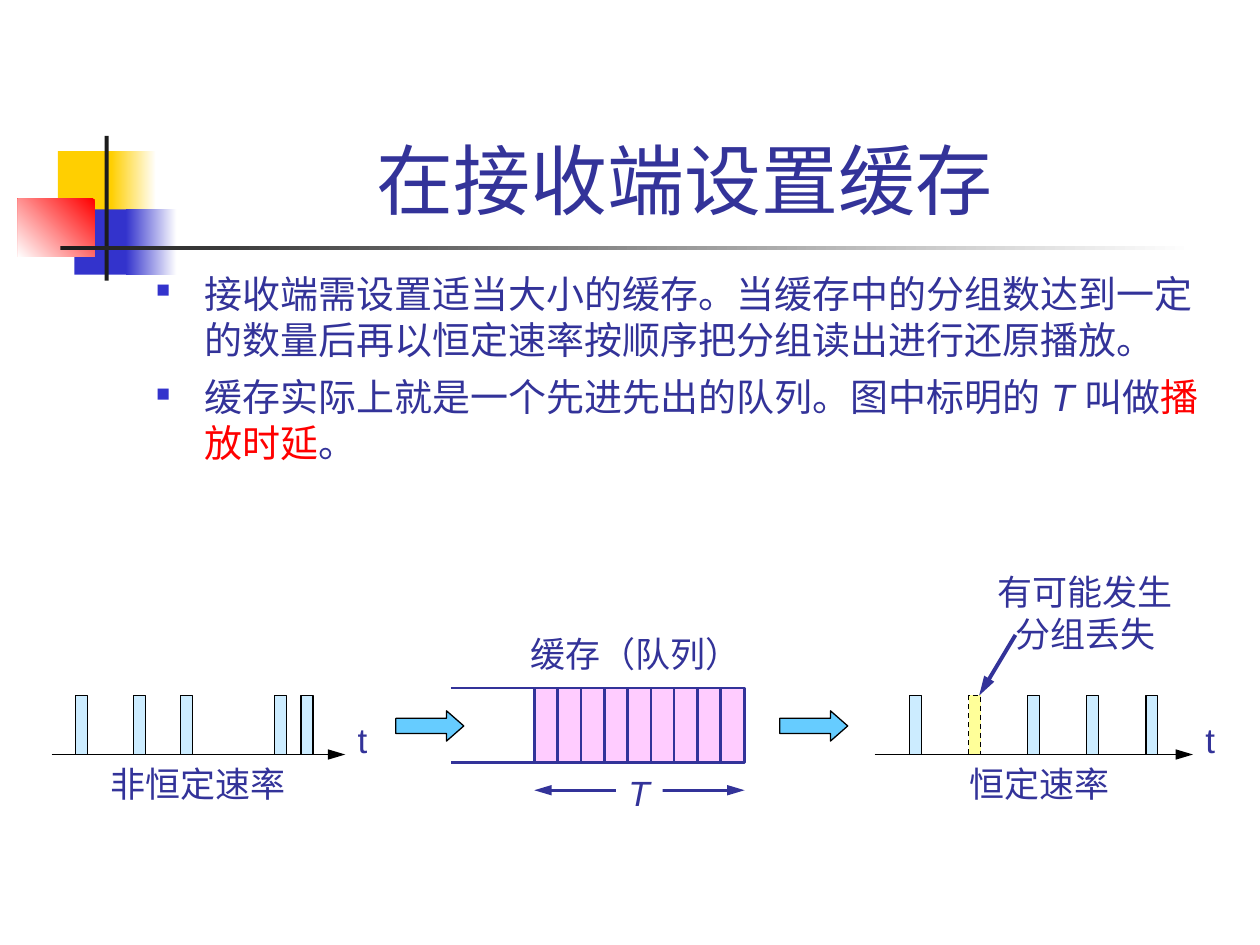
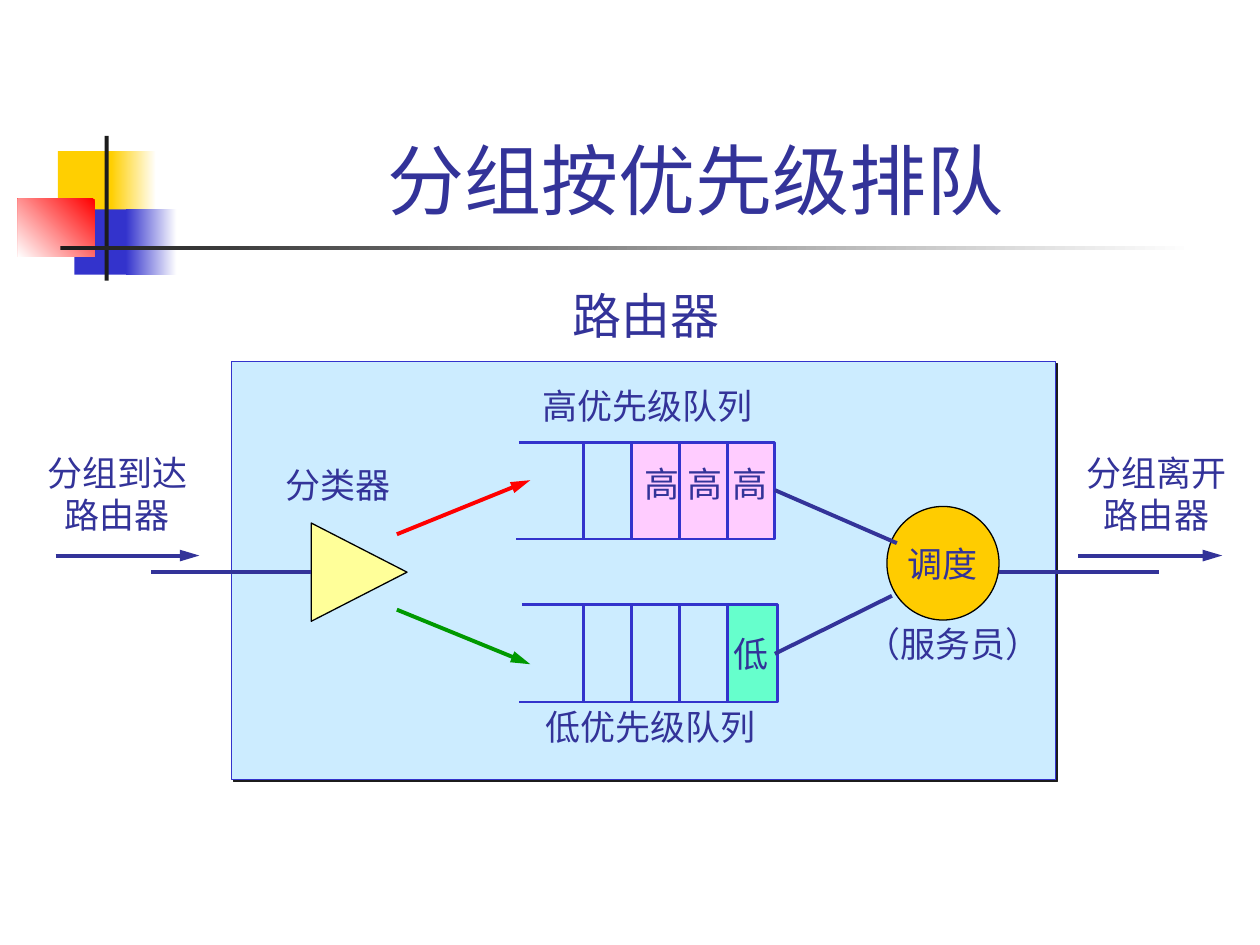
from lxml import etree
from pptx import Presentation
from pptx.dml.color import RGBColor
from pptx.enum.dml import MSO_LINE
from pptx.enum.shapes import MSO_CONNECTOR, MSO_SHAPE
from pptx.enum.text import MSO_ANCHOR, MSO_AUTO_SIZE, PP_ALIGN
from pptx.oxml.ns import qn
from pptx.util import Cm, Pt

# Enum members
RECT, OVAL = MSO_SHAPE.RECTANGLE, MSO_SHAPE.OVAL
TRIANGLE, RIGHT_ARROW = MSO_SHAPE.ISOSCELES_TRIANGLE, MSO_SHAPE.RIGHT_ARROW
STRAIGHT, DASH = MSO_CONNECTOR.STRAIGHT, MSO_LINE.DASH
LEFT, CENTER = PP_ALIGN.LEFT, PP_ALIGN.CENTER
TOP, MIDDLE, BOTTOM = MSO_ANCHOR.TOP, MSO_ANCHOR.MIDDLE, MSO_ANCHOR.BOTTOM
FIT, FIXED = MSO_AUTO_SIZE.SHAPE_TO_FIT_TEXT, MSO_AUTO_SIZE.NONE

# Colours
INK = RGBColor(0x33, 0x33, 0x99)
BLUE = RGBColor(0x33, 0x33, 0xCC)
GOLD = RGBColor(0xFF, 0xCF, 0x01)
AMBER = RGBColor(0xFF, 0xCC, 0x00)
RED = RGBColor(0xFF, 0x00, 0x00)
GREEN = RGBColor(0x00, 0x99, 0x00)
MINT = RGBColor(0x66, 0xFF, 0xCC)
PINK = RGBColor(0xFF, 0xCC, 0xFF)
PALE_BLUE = RGBColor(0xCC, 0xEC, 0xFF)
SKY = RGBColor(0x66, 0xCC, 0xFF)
PALE_YELLOW = RGBColor(0xFF, 0xFF, 0x99)
CHARCOAL = RGBColor(0x1C, 0x1C, 0x1C)
BLACK = RGBColor(0x00, 0x00, 0x00)
WHITE = RGBColor(0xFF, 0xFF, 0xFF)

# Line widths in points
THIN, MEDIUM, THICK = 0.74, 1.5, 2.24
FONT = "Arial"


def add_xml(parent, tag, **attributes):
    return etree.SubElement(parent, qn(tag), attributes)


def write(frame, *paragraphs, size=20, color=INK, italic=False, align=LEFT,
          anchor=TOP, wrap=False, fit=FIXED):
    """Fill a frame; a paragraph is a string or a list of (text, changes)."""
    frame.word_wrap = wrap
    frame.auto_size = fit
    frame.vertical_anchor = anchor
    for index, spans in enumerate(paragraphs):
        para = frame.paragraphs[0] if index == 0 else frame.add_paragraph()
        para.alignment = align
        if isinstance(spans, str):
            spans = [(spans, {})]
        for text, changes in spans:
            span = para.add_run()
            span.text = text
            font = span.font
            font.name = FONT
            font.size = Pt(changes.get("size", size))
            font.italic = changes.get("italic", italic)
            font.color.rgb = changes.get("color", color)
            add_xml(font._element, "a:ea", typeface=FONT)


class Deck:
    """The presentation, its style and the page being drawn; lengths in cm."""

    def __init__(self):
        self.deck = Presentation()
        self.deck.slide_width, self.deck.slide_height = Cm(25.4), Cm(19.05)

    def new_page(self, title):
        self.page = self.deck.slides.add_slide(self.deck.slide_layouts[6])
        # Coloured squares and crossing bars
        self.shape(1.17, 3.05, 1.22, 1.32, GOLD)
        self.fade(2.24, 3.05, 0.91, 1.32, GOLD)
        self.shape(1.5, 4.22, 1.17, 1.32, BLUE)
        self.fade(2.54, 4.22, 1.02, 1.32, BLUE)
        self.fade(0.36, 4.01, 1.55, 1.17, RED, angle=225)
        self.shape(2.11, 2.74, 0.08, 2.92, CHARCOAL)
        self.fade(1.22, 4.95, 22.86, 0.09, CHARCOAL)
        self.text(3.2, 0.6, 21.64, 4.06, title, size=44, align=CENTER,
                  anchor=BOTTOM, wrap=True)

    def paint(self, shape, fill, line, width, dash=None):
        shape.shadow.inherit = False
        if fill is None:
            shape.fill.background()
        else:
            shape.fill.solid()
            shape.fill.fore_color.rgb = fill
        if line is None:
            shape.line.fill.background()
        else:
            shape.line.color.rgb = line
            shape.line.width = Pt(width)
            if dash:
                shape.line.dash_style = dash
        return shape

    def shape(self, left, top, width, height, fill, line=None, kind=RECT):
        shape = self.page.shapes.add_shape(
            kind, Cm(left), Cm(top), Cm(width), Cm(height))
        return self.paint(shape, fill, line, THIN)

    def fade(self, left, top, width, height, color, angle=0):
        shape = self.shape(left, top, width, height, color)
        shape.fill.gradient()
        shape.fill.gradient_angle = angle
        for stop, shade in zip(shape.fill.gradient_stops, (color, WHITE)):
            stop.color.rgb = shade

    def outline(self, points, fill=None, line=INK, width=MEDIUM, dash=None):
        """An open outline through the points."""
        places = [(Cm(x), Cm(y)) for x, y in points]
        builder = self.page.shapes.build_freeform(*places[0], scale=1.0)
        builder.add_line_segments(places[1:], close=False)
        self.paint(builder.convert_to_shape(), fill, line, width, dash)

    def line(self, x1, y1, x2, y2, color=INK, width=THICK, ends=()):
        line = self.page.shapes.add_connector(
            STRAIGHT, Cm(x1), Cm(y1), Cm(x2), Cm(y2))
        line.line.color.rgb = color
        line.line.width = Pt(width)
        for end in ends:
            add_xml(line.line._get_or_add_ln(), end, type="triangle",
                    len="lg")
        add_xml(line._element.spPr, "a:effectLst")

    def arrow(self, x1, y1, x2, y2, color=INK, width=THICK):
        self.line(x1, y1, x2, y2, color, width, ends=["a:tailEnd"])

    def text(self, left, top, width, height, *paragraphs, **style):
        box = self.page.shapes.add_textbox(
            Cm(left), Cm(top), Cm(width), Cm(height))
        write(box.text_frame, *paragraphs, **style)
        return box

    def label(self, left, top, width, *lines, height=1.12, **style):
        return self.text(left, top, width, height, *lines, fit=FIT, **style)

    def bullets(self, left, top, width, height, *paragraphs, size):
        box = self.text(left, top, width, height, *paragraphs, size=size,
                        wrap=True)
        for para in box.text_frame.paragraphs:
            para.space_before = Pt(7)
            props = para._p.get_or_add_pPr()
            props.set("marL", str(Cm(0.97)))
            props.set("indent", str(-Cm(0.97)))
            color = add_xml(props, "a:buClr")
            add_xml(color, "a:srgbClr", val=str(BLUE))
            add_xml(props, "a:buSzPct", val="50000")
            add_xml(props, "a:buChar", char="■")

    def packet(self, left, lost=False):
        top, bottom, right = 14.02, 15.21, left + 0.24
        self.outline(
            [(left, bottom), (left, top), (right, top), (right, bottom)],
            fill=PALE_YELLOW if lost else PALE_BLUE, line=BLACK, width=THIN,
            dash=DASH if lost else None)

    def time_axis(self, start, end):
        self.arrow(start, 15.21, end, 15.21, BLACK, THIN)
        self.label(end, 14.35, 0.69, "t")

    def queue(self, starts, right, top, bottom, dividers, line):
        """A queue open on the left; starts are its top and bottom left."""
        self.outline([(starts[0], top), (right, top), (right, bottom),
                      (starts[1], bottom)], line=line)
        for x in dividers:
            self.line(x, top, x, bottom, line, MEDIUM)


deck = Deck()

# Slide 1: buffer at the receiver
deck.new_page("在接收端设置缓存 ")
deck.bullets(
    2.9, 5.33, 21.59, 5,
    "接收端需设置适当大小的缓存。当缓存中的分组数达到一定的数量后再以恒定速率"
    "按顺序把分组读出进行还原播放。",
    [("缓存实际上就是一个先进先出的队列。图中标明的 ", {}),
     ("T ", {"italic": True}), ("叫做", {}),
     ("播放时延", {"color": RED}), ("。", {})],
    size=21.7)

# Packets arriving at an uneven rate
for left in (1.52, 2.69, 3.64, 5.53, 6.07):
    deck.packet(left)
deck.time_axis(1.04, 6.96)
deck.label(1.98, 15.24, 4.04, "非恒定速率")

# Buffer with nine cells and its delay T
cell, first, last = 0.47, 10.77, 15.01
deck.shape(first, 13.89, last - first, 1.45, PINK)
deck.queue((9.09, 9.09), last, 13.87, 15.37,
           [first + cell * i for i in range(9)], INK)
deck.label(10.44, 12.62, 4.75, "缓存（队列）")
deck.line(first, 15.93, last, 15.93, width=MEDIUM,
          ends=["a:headEnd", "a:tailEnd"])
delay = deck.label(12.42, 15.42, 0.94, "T", italic=True)
delay.fill.solid()
delay.fill.fore_color.rgb = WHITE
for left in (7.98, 15.72):
    flow = deck.shape(left, 14.33, 1.37, 0.61, SKY, BLACK, RIGHT_ARROW)
    flow.adjustments[1] = 0.57

# Packets leaving at a constant rate, the second one lost
deck.time_axis(17.63, 24.05)
for i in range(5):
    deck.packet(18.34 + 1.19 * i, lost=i == 1)
deck.label(19.3, 15.24, 3.33, "恒定速率")
deck.label(19.86, 11.38, 4.04, "有可能发生", "分组丢失", height=1.96,
           align=CENTER)
deck.arrow(20.47, 12.8, 19.74, 14.02)

# Slide 2: queues by priority
deck.new_page("分组按优先级排队")
router = deck.shape(4.67, 7.29, 16.61, 8.43, PALE_BLUE, BLUE)
shadow = add_xml(router._element.spPr.find(qn("a:effectLst")), "a:outerShdw",
                 dist=str(Pt(1.4)), dir="2700000", algn="ctr",
                 rotWithShape="0")
add_xml(shadow, "a:srgbClr", val=str(CHARCOAL))
deck.label(11.3, 5.64, 3.55, "路由器", size=28)

# High and low priority queues
dividers = [11.76 + 0.97 * i for i in range(4)]
deck.shape(dividers[1], 8.92, 2.89, 1.95, PINK)
deck.queue((10.46, 10.41), 15.62, 8.92, 10.87, dividers, BLUE)
deck.label(10.69, 7.62, 4.8, "高优先级队列")
deck.label(12.75, 9.19, 3.1,
           [("高", {}), (" ", {"size": 16}), ("高 高", {})])
deck.shape(dividers[3], 12.19, 1.02, 1.96, MINT)
deck.queue((10.52, 10.46), 15.67, 12.19, 14.15, dividers, BLUE)
deck.label(10.74, 14.1, 4.8, "低优先级队列")
deck.label(14.53, 12.62, 1.22, "低")

# Classifier
classifier = deck.shape(6.25, 10.57, 1.98, 1.93, PALE_YELLOW, BLACK, TRIANGLE)
classifier.rotation = 90
deck.label(5.51, 9.22, 2.64, "分类器")
deck.arrow(8, 10.77, 10.69, 9.68, RED)
deck.arrow(8, 12.29, 10.69, 13.39, GREEN)

# Scheduler
scheduler = deck.shape(17.88, 10.21, 2.26, 2.29, AMBER, BLACK, OVAL)
write(scheduler.text_frame, "调度", align=CENTER, anchor=MIDDLE)
deck.label(17.2, 12.42, 4.06, "（服务员）")
deck.line(15.62, 9.88, 18.08, 10.95)
deck.line(15.62, 13.18, 17.98, 12.01)

# Way in and way out
deck.line(3.05, 11.53, 6.27, 11.53)
deck.line(20.14, 11.53, 23.37, 11.53)
for left, start, action in ((0.69, 1.12, "分组到达"), (21.64, 21.74, "分组离开")):
    deck.label(left, 8.97, 3.35, action, "路由器", height=1.96, align=CENTER)
    deck.arrow(start, 11.2, start + 2.9, 11.2)

deck.deck.save("out.pptx")
